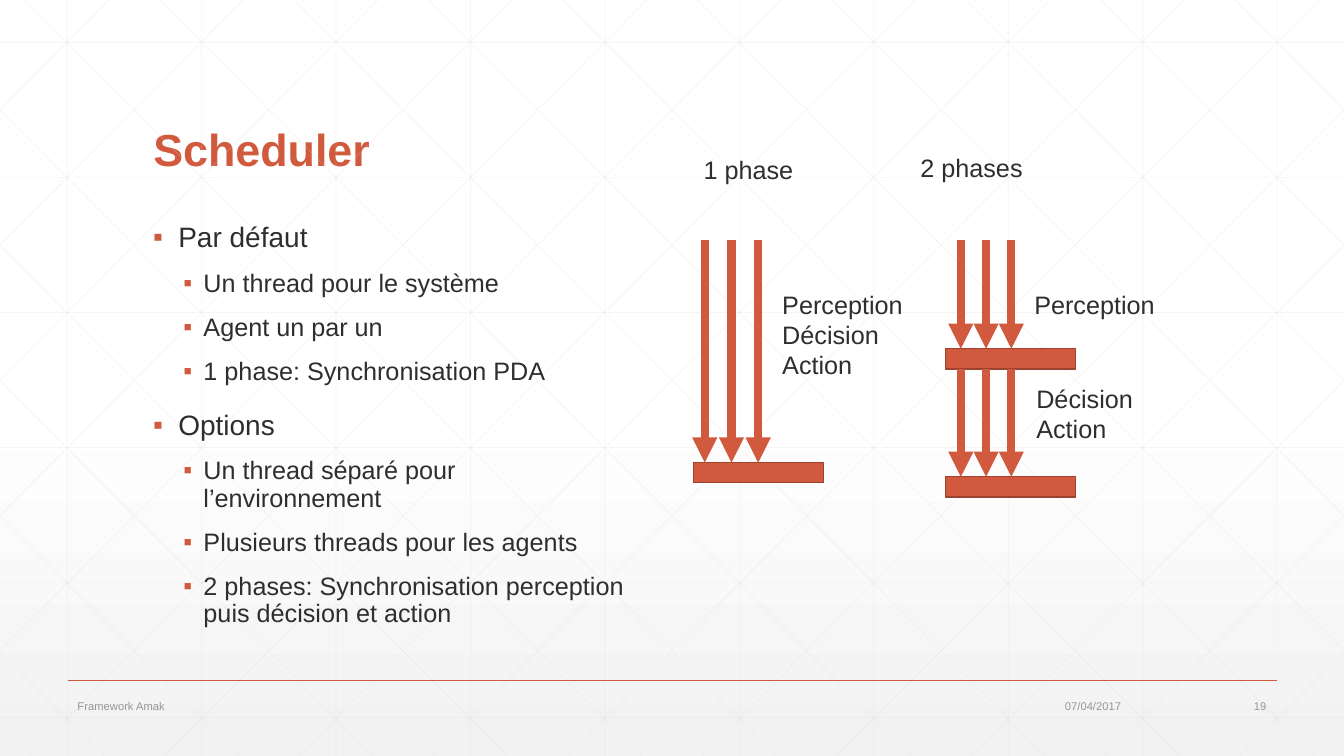
import pptx
import pptx.util
import pptx.enum.shapes
import pptx.enum.text
import pptx.dml.color
import pptx.oxml
import pptx.oxml.ns
from lxml import etree

Inches = pptx.util.Inches
Pt = pptx.util.Pt
RGBColor = pptx.dml.color.RGBColor
ALIGN = pptx.enum.text.PP_ALIGN
ANCHOR = pptx.enum.text.MSO_ANCHOR
qn = pptx.oxml.ns.qn

COLORS = {
    "accent": "D15A3E",
    "outline": "9B432E",
    "text": "2D2E2D",
    "footer": "959795",
    "grid": "D9D9D9",
    "white": "FFFFFF",
    "shade": "F2F2F2",
}
FONT = "Arial"
WIDTH, HEIGHT = 13.33, 7.5

presentation = pptx.Presentation()
presentation.slide_width = Inches(WIDTH)
presentation.slide_height = Inches(HEIGHT)
slide = presentation.slides.add_slide(presentation.slide_layouts[5])


def write_text(shape, box, text, size=18, color="text", bold=False, align=ALIGN.LEFT,
               anchor=ANCHOR.TOP, line_spacing=1.0):
    """Place a text shape and fill it, one paragraph per line of text."""
    shape.left, shape.top, shape.width, shape.height = map(Inches, box)
    frame = shape.text_frame
    frame.word_wrap = True
    frame.auto_size = pptx.enum.text.MSO_AUTO_SIZE.NONE
    frame.vertical_anchor = anchor
    frame.text = text
    for paragraph in frame.paragraphs:
        paragraph.alignment = align
        paragraph.line_spacing = line_spacing
        font = paragraph.runs[0].font
        font.name = FONT
        font.size = Pt(size)
        font.bold = bold
        font.color.rgb = RGBColor.from_string(COLORS[color])
    return frame


def add_line(start, end, color, width, opacity=100, arrow=False):
    """Draw a straight line, with an arrowhead at its end if asked."""
    line = slide.shapes.add_connector(
        pptx.enum.shapes.MSO_CONNECTOR.STRAIGHT, *map(Inches, start + end))
    line.line.width = Pt(width)
    line.line.color.rgb = RGBColor.from_string(COLORS[color])
    properties = line._element.spPr
    if opacity < 100:
        tint = properties.find(".//" + qn("a:srgbClr"))
        etree.SubElement(tint, qn("a:alpha"), val=str(opacity * 1000))
    if arrow:
        etree.SubElement(properties.find(qn("a:ln")), qn("a:tailEnd"), type="triangle")
    etree.SubElement(properties, qn("a:effectLst"))


# Background gradient, white fading to grey at the bottom
slide.background.fill.gradient()
gradient = slide.background._cSld.find(".//" + qn("a:gradFill"))
for child in list(gradient):
    gradient.remove(child)
stops = etree.SubElement(gradient, qn("a:gsLst"))
for position, color in ((0, "white"), (53, "white"), (100, "shade")):
    stop = etree.SubElement(stops, qn("a:gs"), pos=str(position * 1000))
    etree.SubElement(stop, qn("a:srgbClr"), val=COLORS[color])
etree.SubElement(gradient, qn("a:lin"), ang="5400000", scaled="0")

# Background grid: verticals, horizontals, then mirrored diagonals
STEP = 4 / 3
grid_lines = [((STEP * (i + 0.5), 0), (STEP * (i + 0.5), HEIGHT)) for i in range(10)]
grid_lines += [((0, 0.42 + 1.34 * i), (WIDTH, 0.42 + 1.34 * i)) for i in range(6)]
DIAGONAL_RUN = 7.45
for i in range(-5, 10):
    origin = 0.25 + STEP * i
    left, right = max(origin, 0), min(origin + DIAGONAL_RUN, WIDTH)
    top, bottom = ((x - origin) * HEIGHT / DIAGONAL_RUN for x in (left, right))
    grid_lines.append(((left, top), (right, bottom)))
    grid_lines.append(((WIDTH - left, top), (WIDTH - right, bottom)))
for start, end in grid_lines:
    add_line(start, end, "grid", 0.5, opacity=25)

# Title
write_text(slide.shapes.title, (1.42, 0.55, 10.5, 1.25), "Scheduler", size=32,
           color="accent", bold=True, anchor=ANCHOR.BOTTOM, line_spacing=0.9)

# Bullet list
bullets = [
    (0, "Par défaut"),
    (1, "Un thread pour le système"),
    (1, "Agent un par un"),
    (1, "1 phase: Synchronisation PDA"),
    (0, "Options"),
    (1, "Un thread séparé pour l’environnement"),
    (1, "Plusieurs threads pour les agents"),
    (1, "2 phases: Synchronisation perception puis décision et action"),
]
LEVELS = [  # text size, space before, left margin, hanging indent
    (20, 18, 0.25, -0.25),
    (18, 12, 0.5, -0.2),
]
body = write_text(slide.shapes.add_textbox(0, 0, 0, 0), (1.42, 2.17, 5, 4.17),
                  "\n".join(text for level, text in bullets), line_spacing=0.9)
for i, (level, text) in enumerate(bullets):
    size, space_before, margin, indent = LEVELS[level]
    paragraph = body.paragraphs[i]
    paragraph.level = level
    paragraph.space_before = Pt(space_before if i else 0)
    paragraph.runs[0].font.size = Pt(size)
    properties = paragraph._p.get_or_add_pPr()
    properties.set("marL", str(Inches(margin)))
    properties.set("indent", str(Inches(indent)))
    bullet_color = etree.SubElement(properties, qn("a:buClr"))
    etree.SubElement(bullet_color, qn("a:srgbClr"), val=COLORS["accent"])
    etree.SubElement(properties, qn("a:buFont"), typeface=FONT)
    etree.SubElement(properties, qn("a:buChar"), char="▪")

# Diagram: three threads run down to each synchronisation bar
stages = [  # bar left, first thread, thread gap, top, bar top
    (6.88, 6.99, 0.265, 2.38, 4.59),
    (9.38, 9.53, 0.25, 2.38, 3.46),
    (9.38, 9.53, 0.25, 3.66, 4.73),
]
for bar_left, first_thread, gap, top, bar_top in stages:
    bar = slide.shapes.add_shape(pptx.enum.shapes.MSO_SHAPE.RECTANGLE,
                                 *map(Inches, (bar_left, bar_top, 1.29, 0.2)))
    bar.shadow.inherit = False
    bar.fill.solid()
    bar.fill.fore_color.rgb = RGBColor.from_string(COLORS["accent"])
    bar.line.color.rgb = RGBColor.from_string(COLORS["outline"])
    bar.line.width = Pt(1)
    for i in range(3):
        x = first_thread + gap * i
        add_line((x, top), (x, bar_top), "accent", 6, arrow=True)

# Diagram labels
labels = [
    (6.88, 1.48, 0.4, "1 phase"),
    (9.03, 1.46, 0.4, "2 phases"),
    (7.66, 2.82, 1.01, "Perception\nDécision\nAction"),
    (10.16, 2.82, 0.4, "Perception"),
    (10.18, 3.75, 0.71, "Décision\nAction"),
]
for left, top, height, text in labels:
    write_text(slide.shapes.add_textbox(0, 0, 0, 0), (left, top, 1.49, height), text)

# Footer
add_line((0.67, 6.75), (12.67, 6.75), "accent", 1)
footer_items = [
    (0.67, 6.7, "Framework Amak", ALIGN.LEFT),
    (10.16, 1.06, "07/04/2017", ALIGN.RIGHT),
    (11.66, 1, "19", ALIGN.RIGHT),
]
for left, width, text, align in footer_items:
    write_text(slide.shapes.add_textbox(0, 0, 0, 0), (left, 6.88, width, 0.24), text,
               size=8, color="footer", align=align, anchor=ANCHOR.MIDDLE)

presentation.save("out.pptx")
